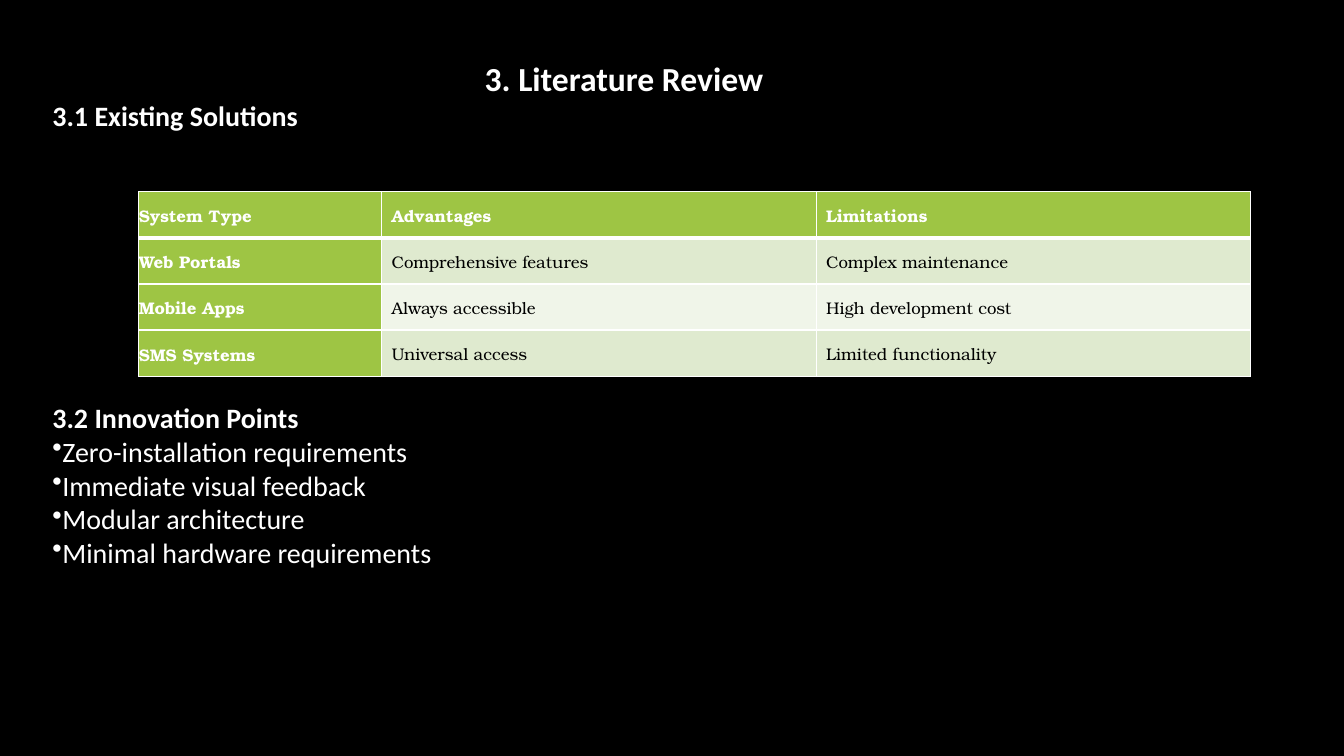
from dataclasses import dataclass

from lxml import etree
from pptx import Presentation
from pptx.dml.color import RGBColor
from pptx.enum.text import MSO_ANCHOR, PP_ALIGN
from pptx.oxml.ns import qn
from pptx.util import Cm, Pt

MIDDLE = MSO_ANCHOR.MIDDLE
LEFT, CENTER = PP_ALIGN.LEFT, PP_ALIGN.CENTER
COLORS = {"back": "000000", "white": "FFFFFF", "black": "000000",
          "head": "9EC544", "odd": "DFEACF", "even": "F0F5E9"}
SANS, SERIF = "Calibri", "TeX Gyre Bonum"
PAD = Cm(0.25)
COLS = (6.12, 10.95, 10.95)
ROW = 1.05
THIN, THICK = 1, 3
SYSTEMS = (
    ("System Type", "Advantages", "Limitations"),
    ("Web Portals", "Comprehensive features", "Complex maintenance"),
    ("Mobile Apps", "Always accessible", "High development cost"),
    ("SMS Systems", "Universal access", "Limited functionality"),
)


@dataclass
class Line:
    text: str
    size: float = 20
    bold: bool = False
    align: PP_ALIGN = LEFT
    before: float = 0
    bullet: bool = False


LINES = (
    Line("3. Literature Review", size=24, bold=True, align=CENTER),
    Line("3.1 Existing Solutions", bold=True),
    Line("3.2 Innovation Points", bold=True, before=192),  # room for the table
    Line("Zero-installation requirements", bullet=True),
    Line("Immediate visual feedback", bullet=True),
    Line("Modular architecture", bullet=True),
    Line("Minimal hardware requirements", bullet=True),
)


def color(name: str) -> RGBColor:
    return RGBColor.from_string(COLORS[name])


def write(para, text: str, *, font: str = SANS, size: float = 20,
          ink: str = "white", bold: bool = False, align: PP_ALIGN = LEFT,
          before: float = 0, after: float = 0, lead: float = 1.0,
          bullet: bool = False) -> None:
    para.alignment = align
    para.space_before, para.space_after = Pt(before), Pt(after)
    para.line_spacing = lead
    if bullet:
        mark = etree.SubElement(para._p.get_or_add_pPr(), qn("a:buChar"))
        mark.set("char", "•")
    run = para.add_run()
    run.text = text
    run.font.name, run.font.size, run.font.bold = font, Pt(size), bold
    run.font.color.rgb = color(ink)


def edge(cell, side: str, width: float) -> None:
    """Draw one white border of a cell; call before filling the cell."""
    line = etree.SubElement(cell._tc.get_or_add_tcPr(), qn("a:ln" + side))
    line.set("w", str(Pt(width)))
    fill = etree.SubElement(line, qn("a:solidFill"))
    etree.SubElement(fill, qn("a:srgbClr")).set("val", COLORS["white"])


def add_text(slide) -> None:
    box = slide.shapes.add_textbox(Cm(1.07), Cm(1.27), Cm(29.31), Cm(13.26))
    frame = box.text_frame
    frame.word_wrap = True
    frame.vertical_anchor = MIDDLE
    for i, line in enumerate(LINES):
        para = frame.add_paragraph() if i else frame.paragraphs[0]
        write(para, line.text, size=line.size, bold=line.bold,
              align=line.align, before=line.before, bullet=line.bullet)


def add_grid(slide) -> None:
    count = len(SYSTEMS)
    grid = slide.shapes.add_table(count, len(COLS), Cm(3.5), Cm(4.83),
                                  Cm(sum(COLS)), Cm(ROW * count)).table
    for col, width in zip(grid.columns, COLS):
        col.width = Cm(width)
    for r, texts in enumerate(SYSTEMS):
        grid.rows[r].height = Cm(ROW)
        for c, text in enumerate(texts):
            cell = grid.cell(r, c)
            label = r == 0 or c == 0
            cell.vertical_anchor = MIDDLE
            cell.margin_left = PAD if c else 0
            cell.margin_right = cell.margin_top = cell.margin_bottom = PAD
            edge(cell, "L", THIN)
            edge(cell, "R", THIN)
            edge(cell, "T", THICK if r == 1 else THIN)
            edge(cell, "B", THICK if r == 0 else THIN)
            cell.fill.solid()
            tone = "head" if label else "odd" if r % 2 else "even"
            cell.fill.fore_color.rgb = color(tone)
            write(cell.text_frame.paragraphs[0], text, font=SERIF, size=12,
                  ink="white" if label else "black", bold=label,
                  after=8, lead=1.07)


def main() -> None:
    deck = Presentation()
    deck.slide_width, deck.slide_height = Cm(33.87), Cm(19.05)
    slide = deck.slides.add_slide(deck.slide_layouts[6])
    slide.background.fill.solid()
    slide.background.fill.fore_color.rgb = color("back")
    add_grid(slide)
    add_text(slide)
    deck.save("out.pptx")


if __name__ == "__main__":
    main()
